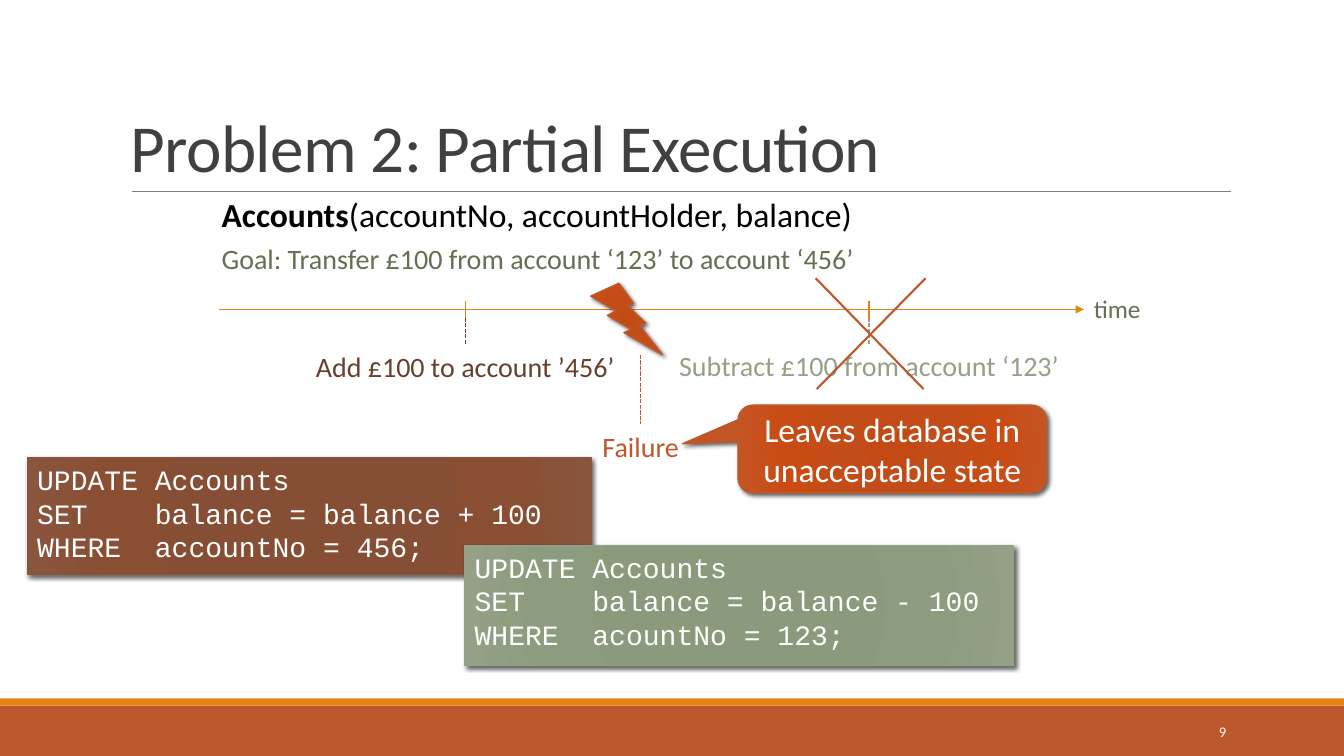
import pptx
import pptx.util
import pptx.dml.color
import pptx.enum.dml
import pptx.enum.shapes
import pptx.enum.text
import pptx.oxml
import pptx.oxml.ns

COLUMNS, ROWS = 13.33, 7.5
COL = ROW = pptx.util.Inches(1)
SHAPE = pptx.enum.shapes.MSO_SHAPE
ALIGN = pptx.enum.text.PP_ALIGN
ANCHOR = pptx.enum.text.MSO_ANCHOR
AUTO = pptx.enum.text.MSO_AUTO_SIZE
DASH = pptx.enum.dml.MSO_LINE.SQUARE_DOT
NS = pptx.oxml.ns.nsdecls("a")

RUST, ORANGE, BROWN, SAGE, OLIVE = "BD582C", "E48312", "654130", "94A088", "637052"
WHITE = "FFFFFF"
STOPS = (0, 34, 70, 100)
RUST_GLOW = ("C44A15", "C34C18", "C94C15", "C45525")
BROWN_GLOW = ("874C32", "864E34", "8A4E33", "8A553D")
SAGE_GLOW = ("8A987B", "8B997D", "8D9C7E", "94A187")


def rgb(value):
    return pptx.dml.color.RGBColor.from_string(value)


def grid(x, y, w, h):
    return [round(n * unit) for n, unit in zip((x, y, w, h), (COL, ROW, COL, ROW))]


def apply(target, values):
    for name, value in values.items():
        setattr(target, name, value)


def write(sp, paragraphs, size, color, font="Calibri", align=ALIGN.LEFT, **frame):
    tf = sp.text_frame
    apply(tf, {"word_wrap": True, "vertical_anchor": ANCHOR.TOP, **frame})
    for i, text in enumerate(paragraphs):
        p = tf.paragraphs[0] if i == 0 else tf.add_paragraph()
        p.text = text
        p.alignment = align
        for r in p.runs:
            apply(r.font, {"size": pptx.util.Pt(size), "name": font, "bold": False})
            r.font.color.rgb = rgb(color)
    return tf.paragraphs[0]


def add_text(s, box, text, size, color, **fmt):
    return write(s.shapes.add_textbox(*grid(*box)), [text], size, color, **fmt)


def add_label(s, box, text, size, color, **fmt):
    return add_text(s, box, text, size, color, word_wrap=False,
                    auto_size=AUTO.SHAPE_TO_FIT_TEXT, **fmt)


def add_band(s, box, color):
    sp = s.shapes.add_shape(SHAPE.RECTANGLE, *grid(*box))
    sp.fill.solid()
    sp.fill.fore_color.rgb = rgb(color)
    sp.line.fill.background()
    sp.shadow.inherit = False


def add_glow_shape(s, kind, box, colors, outline):
    sp = s.shapes.add_shape(kind, *grid(*box))
    sp.line.color.rgb = rgb(outline)
    sp.line.width = pptx.util.Pt(1)
    sp.fill.background()
    sp.shadow.inherit = False
    stops = "".join(f'<a:gs pos="{pos * 1000}"><a:srgbClr val="{color}"/></a:gs>'
                    for pos, color in zip(STOPS, colors))
    gradient = pptx.oxml.parse_xml(
        f'<a:gradFill {NS} rotWithShape="1"><a:gsLst>{stops}</a:gsLst><a:path path="circle">'
        '<a:fillToRect l="100000" t="100000" r="100000" b="100000"/></a:path></a:gradFill>')
    shadow = pptx.oxml.parse_xml(
        f'<a:outerShdw {NS} blurRad="38100" dist="25400" dir="2700000" rotWithShape="0">'
        '<a:srgbClr val="000000"><a:alpha val="60000"/></a:srgbClr></a:outerShdw>')
    props = sp._element.spPr
    props.replace(props.find(pptx.oxml.ns.qn("a:noFill")), gradient)
    props.find(pptx.oxml.ns.qn("a:effectLst")).append(shadow)
    return sp


def add_line(s, start, end, color, width=1, dash=None, arrow=False):
    x1, y1, x2, y2 = grid(*start, *end)
    cx = s.shapes.add_connector(pptx.enum.shapes.MSO_CONNECTOR.STRAIGHT, x1, y1, x2, y2)
    apply(cx.line, {"width": pptx.util.Pt(width), "dash_style": dash})
    cx.line.color.rgb = rgb(color)
    if arrow:
        cx.line._get_or_add_ln().append(
            pptx.oxml.parse_xml(f'<a:tailEnd {NS} type="triangle"/>'))
    cx._element.spPr.append(pptx.oxml.parse_xml(f"<a:effectLst {NS}/>"))


def add_step(s, x, label_box, text, color):
    add_line(s, (x, 2.99), (x, 3.15), ORANGE)
    add_line(s, (x, 3.15), (x, 3.42), color, dash=DASH)
    add_label(s, label_box, text, 20, color, align=ALIGN.CENTER)


def add_code(s, box, paragraphs, colors, outline):
    sp = add_glow_shape(s, SHAPE.RECTANGLE, box, colors, outline)
    write(sp, paragraphs, 20, WHITE, font="Courier New")


def add_frame(s):
    add_band(s, (0, 7, COLUMNS, 0.5), RUST)
    add_band(s, (0, 6.93, COLUMNS, 0.07), ORANGE)
    add_line(s, (1.31, 1.9), (12.21, 1.9), "808080", 0.5)
    p = add_text(s, (1.2, 0.31, 11, 1.59), "Problem 2: Partial Execution", 48, "404040",
                 vertical_anchor=ANCHOR.BOTTOM)
    p.line_spacing = 0.85
    p.runs[0].font._element.set("spc", "-50")
    add_text(s, (10.83, 7.06, 1.43, 0.4), "9", 10.5, WHITE, align=ALIGN.RIGHT,
             vertical_anchor=ANCHOR.MIDDLE)


def add_schema(s):
    p = add_label(s, (2.1, 1.87, 6.52, 0.5), "Accounts", 24, "000000")
    p.runs[0].font.bold = True
    r = p.add_run()
    r.text = "(accountNo, accountHolder, balance)"
    apply(r.font, {"size": pptx.util.Pt(24), "name": "Calibri", "bold": False})
    r.font.color.rgb = rgb("000000")
    add_label(s, (2.1, 2.35, 6.53, 0.44),
              "Goal: Transfer £100 from account ‘123’ to account ‘456’", 20, OLIVE)


def add_failure(s):
    add_glow_shape(s, SHAPE.LIGHTNING_BOLT, (5.86, 2.81, 0.71, 0.71), RUST_GLOW, RUST)
    add_line(s, (6.35, 3.52), (6.35, 4.21), RUST, dash=DASH)
    add_label(s, (5.87, 4.21, 0.97, 0.44), "Failure", 20, RUST, align=ALIGN.CENTER)
    callout = add_glow_shape(s, SHAPE.ROUNDED_RECTANGULAR_CALLOUT, (7.32, 4.02, 3.06, 0.87),
                             RUST_GLOW, RUST)
    for i, value in enumerate((-0.68, -0.06, 0.17)):
        callout.adjustments[i] = value
    write(callout, ["Leaves database in\vunacceptable state"], 24, WHITE,
          align=ALIGN.CENTER, vertical_anchor=ANCHOR.MIDDLE)


def main():
    prs = pptx.Presentation()
    prs.slide_width, prs.slide_height = grid(COLUMNS, ROWS, 0, 0)[:2]
    s = prs.slides.add_slide(prs.slide_layouts[6])
    add_frame(s)
    add_schema(s)
    add_line(s, (2.17, 3.07), (10.75, 3.07), ORANGE, arrow=True)
    add_label(s, (10.75, 2.86, 0.67, 0.4), "time", 18, OLIVE)
    add_step(s, 4.62, (3.02, 3.42, 3.19, 0.44), "Add £100 to account ’456’", BROWN)
    add_code(s, (0.27, 4.54, 5.59, 1.16),
             ["UPDATE Accounts", "SET    balance = balance + 100", "WHERE  accountNo = 456;"],
             BROWN_GLOW, "865640")
    add_code(s, (4.61, 5.41, 5.44, 1.19),
             ["UPDATE Accounts", "SET    balance = balance - 100\vWHERE  acountNo = 123;"],
             SAGE_GLOW, SAGE)
    add_step(s, 8.62, (6.62, 3.41, 4, 0.44), "Subtract £100 from account ‘123’", SAGE)
    add_failure(s)
    for top, bottom in ((9.18, 8.1), (8.09, 9.16)):
        add_line(s, (top, 2.76), (bottom, 3.86), RUST, 1.5)
    prs.save("out.pptx")


if __name__ == "__main__":
    main()
